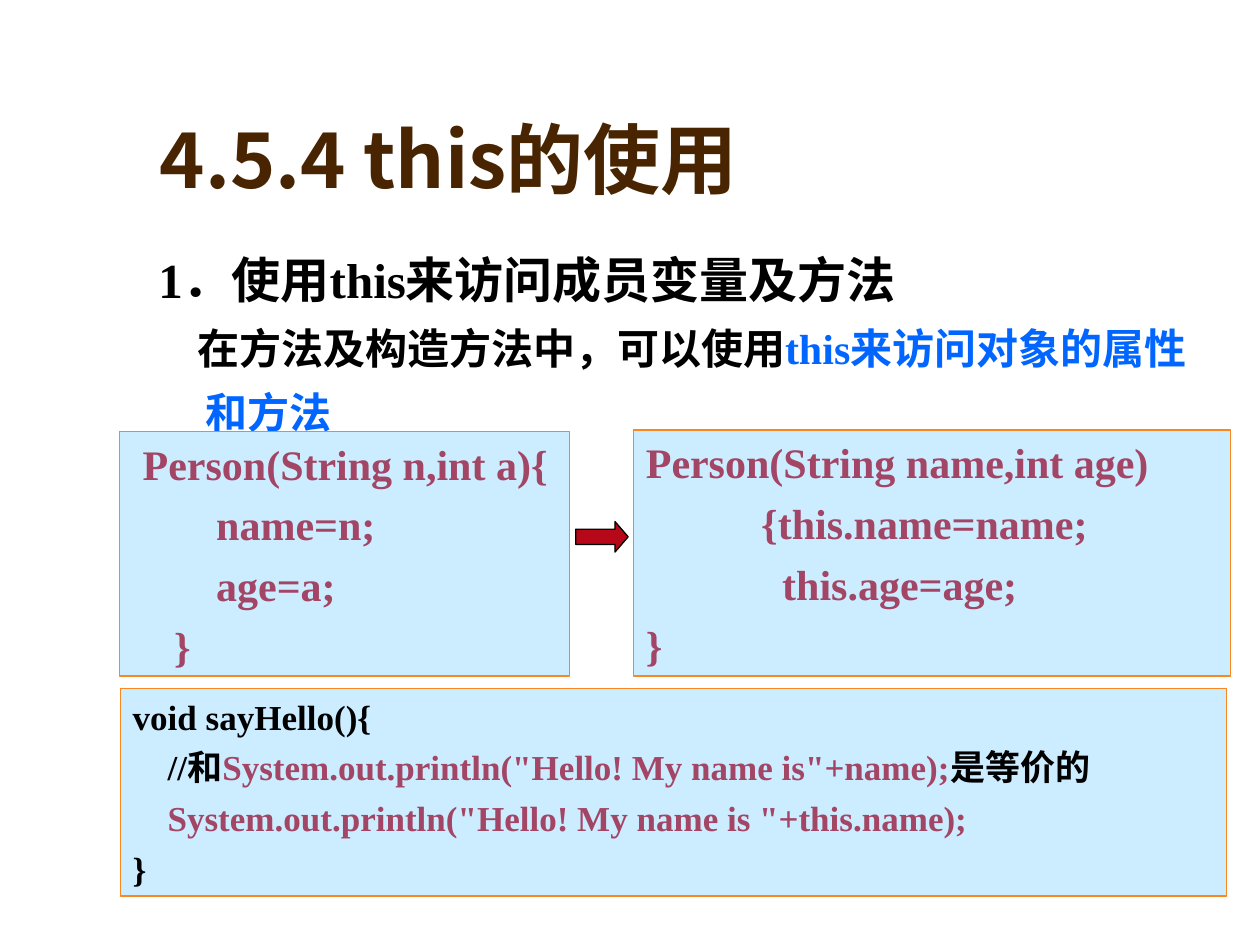
"""Build a slide on using this to reach member variables and methods."""
from dataclasses import dataclass

from lxml import etree
from pptx import Presentation
from pptx.dml.color import RGBColor
from pptx.enum.shapes import MSO_SHAPE
from pptx.enum.text import MSO_ANCHOR, MSO_AUTO_SIZE, PP_ALIGN
from pptx.oxml.ns import qn
from pptx.util import Pt

RECTANGLE = MSO_SHAPE.RECTANGLE
RIGHT_ARROW = MSO_SHAPE.RIGHT_ARROW
TOP, MIDDLE, BOTTOM = MSO_ANCHOR.TOP, MSO_ANCHOR.MIDDLE, MSO_ANCHOR.BOTTOM
NO_AUTOFIT = MSO_AUTO_SIZE.NONE
LEFT = PP_ALIGN.LEFT


@dataclass(frozen=True)
class Theme:
    chinese_font: str = "Noto Sans CJK SC"
    text_font: str = "Times New Roman"
    title_color: str = "482400"
    text_color: str = "000000"
    accent: str = "0066FF"
    code_color: str = "A34564"
    code_fill: str = "CCECFF"
    code_border: str = "FB881F"
    arrow_fill: str = "B60819"
    title_size: int = 44
    heading_size: int = 28
    body_size: int = 24
    code_size: int = 24
    method_size: int = 20
    end_size: int = 32


theme = Theme()


def add_run(paragraph, text, size, color, font_name=theme.text_font):
    run = paragraph.add_run()
    run.text = text
    run.font.size = Pt(size)
    run.font.bold = True
    run.font.name = font_name
    run.font.color.rgb = RGBColor.from_string(color)
    east_asian = etree.SubElement(run.font._element, qn("a:ea"))
    east_asian.set("typeface", theme.chinese_font)


def add_filled_shape(kind, bounds, fill, border):
    shape = slide.shapes.add_shape(kind, *map(Pt, bounds))
    shape.shadow.inherit = False
    shape.fill.solid()
    shape.fill.fore_color.rgb = RGBColor.from_string(fill)
    shape.line.color.rgb = RGBColor.from_string(border)
    shape.line.width = Pt(0.75)
    return shape


presentation = Presentation()
presentation.slide_width, presentation.slide_height = Pt(720), Pt(540)
slide = presentation.slides.add_slide(presentation.slide_layouts[5])

title = slide.shapes.title
title.left, title.top, title.width, title.height = Pt(84), Pt(30), Pt(612), Pt(90)
title.text_frame.auto_size = NO_AUTOFIT
title.text_frame.vertical_anchor = BOTTOM
paragraph = title.text_frame.paragraphs[0]
paragraph.alignment = LEFT
add_run(paragraph, "4.5.4 this的使用", theme.title_size, theme.title_color, theme.chinese_font)

body_paragraphs = [
    (-27, 0, [("1．使用this来访问成员变量及方法", theme.heading_size, theme.text_color)]),
    (-5, 8, [
        ("在方法及构造方法中，可以使用", theme.body_size, theme.text_color),
        ("this来访问对象的属性和方法", theme.body_size, theme.accent),
        (" ", theme.end_size, theme.accent),
    ]),
]
body = slide.shapes.add_textbox(Pt(83.5), Pt(139), Pt(612), Pt(324))
body.text_frame.word_wrap = True
for index, (indent, space, runs) in enumerate(body_paragraphs):
    paragraph = body.text_frame.add_paragraph() if index else body.text_frame.paragraphs[0]
    properties = paragraph._p.get_or_add_pPr()
    properties.set("marL", str(Pt(27)))
    properties.set("indent", str(Pt(indent)))
    paragraph.space_before = Pt(space)
    for text, size, color in runs:
        add_run(paragraph, text, size, color)

code, plain = theme.code_color, theme.text_color
code_boxes = [
    ((362, 245.75, 341, 140.5), MIDDLE, theme.code_size, 6, [
        [("Person(String name,int age)", code)],
        [("           {this.name=name;", code)],
        [("             this.age=age;", code)],
        [("}", code)],
    ]),
    ((68.5, 246.75, 257, 139.5), TOP, theme.code_size, 6, [
        [(" Person(String n,int a){", code)],
        [("        name=n;", code)],
        [("        age=a;", code)],
        [("    }", code)],
    ]),
    ((68.75, 393.5, 632.25, 118.5), MIDDLE, theme.method_size, 5, [
        [("void sayHello(){", plain)],
        [("    //和", plain),
         ('System.out.println("Hello! My name is"+name);', code),
         ("是等价的", plain)],
        [('    System.out.println("Hello! My name is "+this.name);', code)],
        [("}", plain)],
    ]),
]
for bounds, anchor, size, space, lines in code_boxes:
    box = add_filled_shape(RECTANGLE, bounds, theme.code_fill, theme.code_border)
    frame = box.text_frame
    frame.word_wrap = True
    frame.vertical_anchor = anchor
    for index, runs in enumerate(lines):
        paragraph = frame.add_paragraph() if index else frame.paragraphs[0]
        paragraph.alignment = LEFT
        paragraph.space_before = Pt(space if index else 0)
        for text, color in runs:
            add_run(paragraph, text, size, color)

arrow = add_filled_shape(RIGHT_ARROW, (329, 298, 30, 17.5), theme.arrow_fill, theme.text_color)
arrow.adjustments[0] = 0.5
arrow.adjustments[1] = 0.43

presentation.save("out.pptx")
